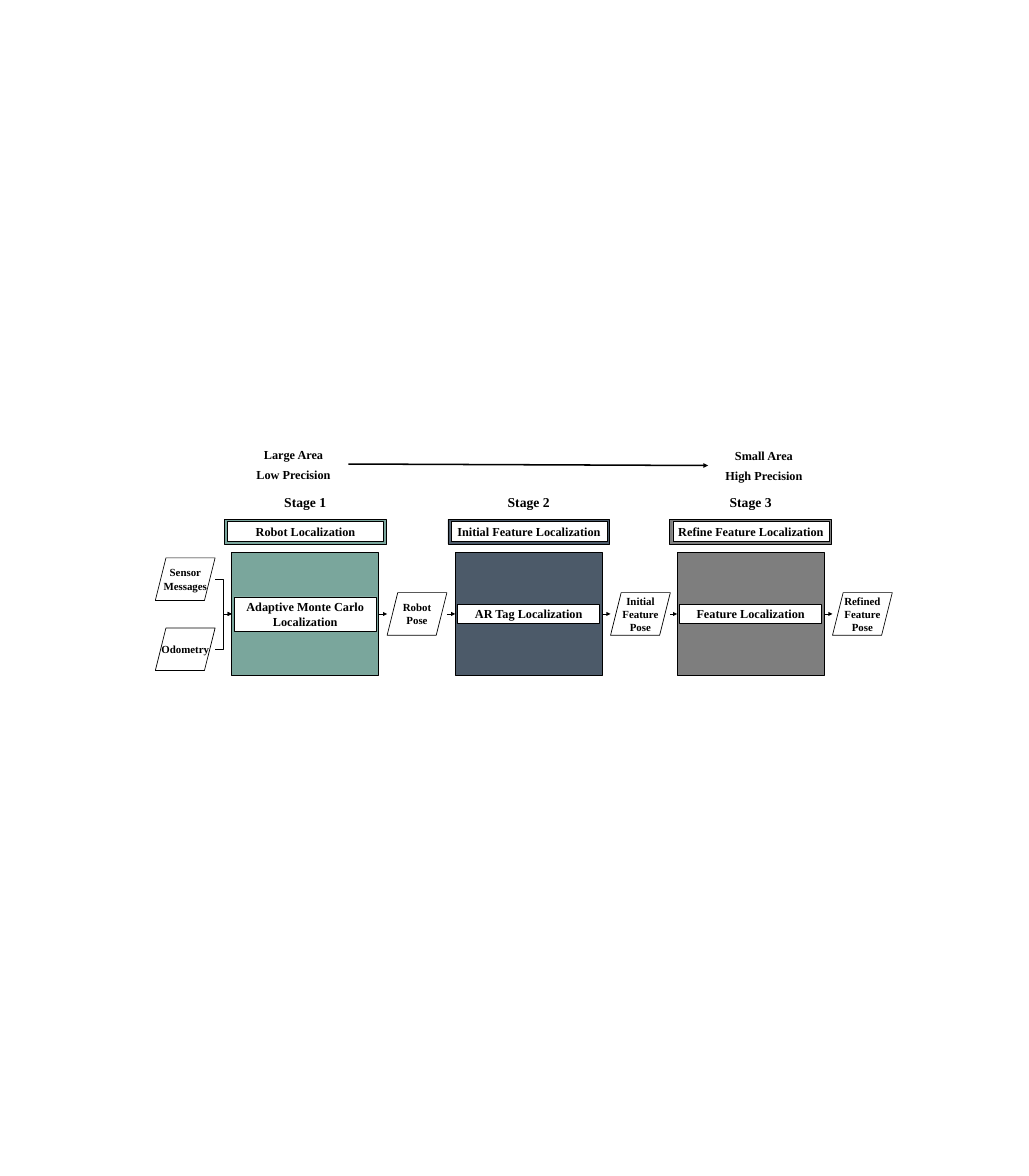
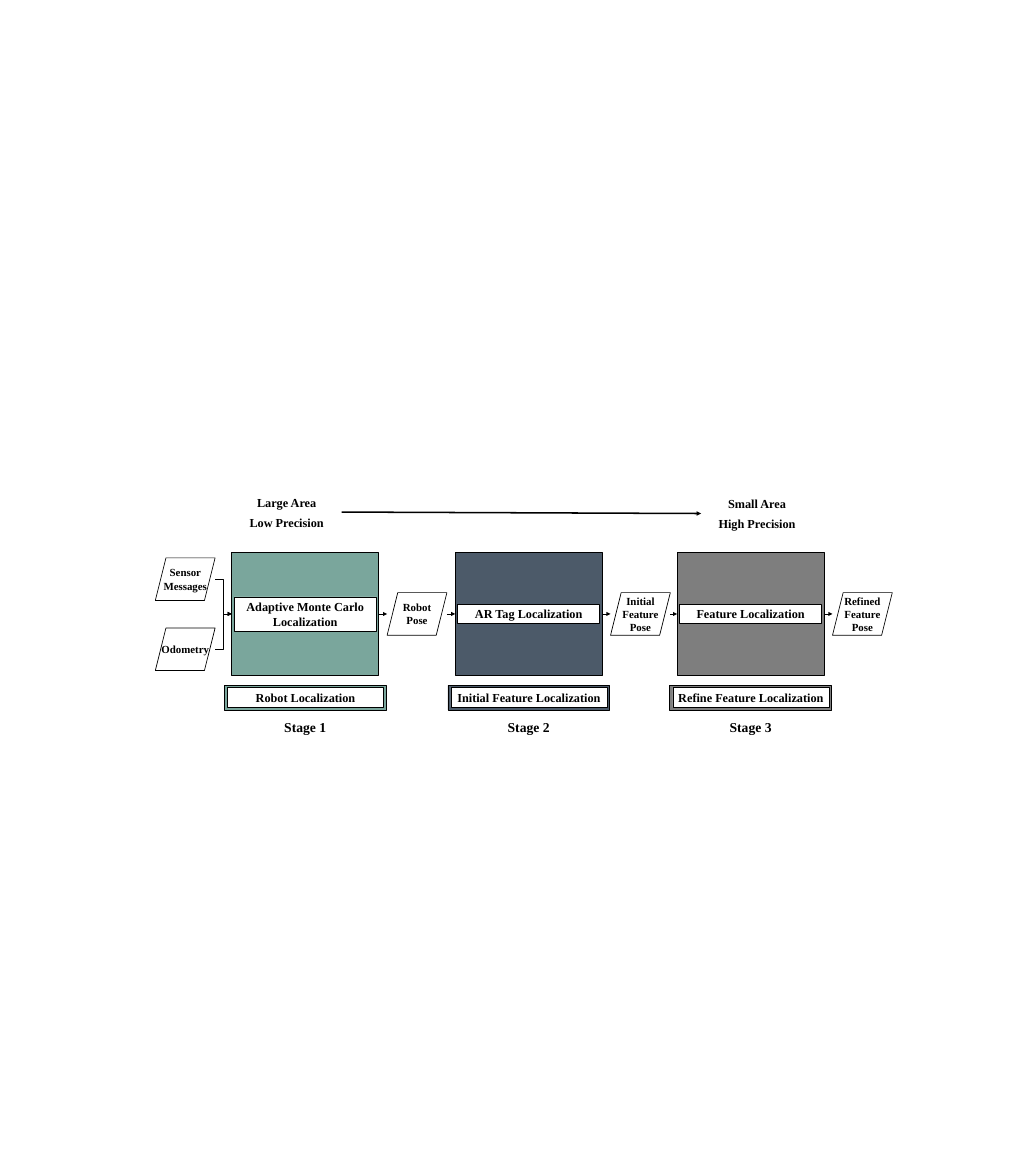
from dataclasses import dataclass
from itertools import pairwise
from typing import Any, Optional

from lxml.etree import SubElement
from pptx import Presentation
from pptx.dml.color import RGBColor
from pptx.enum.shapes import MSO_CONNECTOR, MSO_SHAPE
from pptx.enum.text import MSO_ANCHOR, MSO_AUTO_SIZE, PP_ALIGN
from pptx.oxml.ns import qn
from pptx.util import Inches, Pt


@dataclass(frozen=True)
class Theme:
    black: str = "000000"
    white: str = "FFFFFF"
    green: str = "7AA69C"
    blue: str = "4C5A69"
    gray: str = "7E7E7E"
    face: str = "Times New Roman"
    head: int = 20
    body: int = 18
    small: int = 16
    edge: float = 1
    thin: float = 0.75
    link: float = 0.5
    bold: float = 2.25


@dataclass(frozen=True)
class Area:
    left: float
    top: float
    width: float
    height: float

    def sides(self) -> list[int]:
        return [Inches(v) for v in (self.left, self.top, self.width, self.height)]


@dataclass(frozen=True)
class Stage:
    left: float
    fill: str
    title: str
    step: str
    rows: int
    pose: str
    lines: int


@dataclass(frozen=True)
class Plan:
    """What differs between slides: tops of the stage parts, place of the scale."""
    band: float
    name: float
    left: float
    top: float


THEME = Theme()
STAGES = [
    Stage(4.73, THEME.green, "Robot Localization",
          "Adaptive Monte Carlo Localization", 2, "Robot Pose", 2),
    Stage(9.29, THEME.blue, "Initial Feature Localization",
          "AR Tag Localization", 1, "Initial Feature Pose", 3),
    Stage(13.82, THEME.gray, "Refine Feature Localization",
          "Feature Localization", 1, "Refined Feature Pose", 3),
]
PLANS = [Plan(10.6, 10.03, 4.73, 9.07), Plan(13.99, 14.61, 4.59, 10.05)]

TOP, SIDE, TALL = 11.28, 3.0, 2.5
MID = TOP + TALL / 2
POSE, WIDE, HIGH = 3.17, 1.22, 0.87
INPUTS = [("Sensor Messages", 2, 11.82), ("Odometry", 1, 13.25)]


def write(shape: Any, text: str, size: int) -> None:
    frame = shape.text_frame
    frame.text = text
    look = {"word_wrap": True, "auto_size": MSO_AUTO_SIZE.SHAPE_TO_FIT_TEXT,
            "vertical_anchor": MSO_ANCHOR.MIDDLE}
    for key, val in look.items():
        setattr(frame, key, val)
    para = frame.paragraphs[0]
    para.alignment = PP_ALIGN.CENTER
    font = para.runs[0].font
    for key, val in {"name": THEME.face, "size": Pt(size), "bold": True}.items():
        setattr(font, key, val)
    font.color.rgb = RGBColor.from_string(THEME.black)


def draw(shapes: Any, area: Area, fill: Optional[str], edge: str = THEME.black,
         width: float = THEME.edge, kind: MSO_SHAPE = MSO_SHAPE.RECTANGLE) -> Any:
    shape = shapes.add_shape(kind, *area.sides())
    shape.shadow.inherit = False
    if fill:
        shape.fill.solid()
        shape.fill.fore_color.rgb = RGBColor.from_string(fill)
    else:
        shape.fill.background()
    shape.line.color.rgb = RGBColor.from_string(edge)
    shape.line.width = Pt(width)
    return shape


def label(shapes: Any, area: Area, text: str, size: int = THEME.body,
          edge: str = THEME.black) -> None:
    write(draw(shapes, area, THEME.white, edge, THEME.thin), text, size)


def plain(shapes: Any, area: Area, text: str, size: int = THEME.body) -> None:
    write(shapes.add_textbox(*area.sides()), text, size)


def arrow(shapes: Any, start: tuple[float, float], end: tuple[float, float],
          width: float = THEME.link,
          kind: MSO_CONNECTOR = MSO_CONNECTOR.STRAIGHT) -> None:
    line = shapes.add_connector(kind, *(Inches(v) for v in start + end))
    line.line.color.rgb = RGBColor.from_string(THEME.black)
    line.line.width = Pt(width)
    props = line._element.spPr
    SubElement(props.find(qn("a:ln")), qn("a:tailEnd"), type="triangle")
    SubElement(props, qn("a:effectLst"))


def data(shapes: Any, left: float, mid: float, text: str, lines: int) -> None:
    """Slanted data box, grouped with its text."""
    group = shapes.add_group_shape().shapes
    draw(group, Area(left, mid - HIGH / 2, WIDE, HIGH), None,
         kind=MSO_SHAPE.PARALLELOGRAM)
    high = 0.1 + 0.27 * lines
    plain(group, Area(left, mid - high / 2, WIDE, high), text, THEME.small)


def phase(shapes: Any, item: Stage, plan: Plan) -> None:
    # Panel and its step
    left = item.left
    draw(shapes, Area(left, TOP, SIDE, TALL), item.fill)
    high = 0.1 + 0.3 * item.rows
    label(shapes, Area(left + 0.05, MID - high / 2, 2.9, high), item.step)

    # Banner and stage name
    side = left - 0.15
    draw(shapes, Area(side, plan.band, 3.3, 0.5), item.fill)
    label(shapes, Area(side + 0.06, plan.band + 0.04, 3.19, 0.4), item.title)
    label(shapes, Area(side, plan.name, 3.3, 0.44),
          f"Stage {STAGES.index(item) + 1}", THEME.head, THEME.white)

    # Resulting pose
    data(shapes, left + POSE, MID, item.pose, item.lines)
    arrow(shapes, (left + SIDE, MID), (left + POSE, MID))


def scale(shapes: Any, plan: Plan) -> None:
    ends = [(0, 0, "Large Area", "Low Precision"),
            (9.6, 0.02, "Small Area", "High Precision")]
    for right, down, *words in ends:
        for row, text in enumerate(words):
            top = plan.top + down + 0.42 * row
            plain(shapes, Area(plan.left + right, top, 2.52, 0.4), text)
    arrow(shapes, (plan.left + 2.38, plan.top + 0.4),
          (plan.left + 9.72, plan.top + 0.43), THEME.bold)


def main() -> None:
    deck = Presentation()
    deck.slide_width, deck.slide_height = Inches(21), Inches(24)
    for plan in PLANS:
        shapes = deck.slides.add_slide(deck.slide_layouts[6]).shapes
        for item in STAGES:
            phase(shapes, item, plan)

        # Links from each pose to the next stage
        for last, item in pairwise(STAGES):
            arrow(shapes, (last.left + POSE + WIDE, MID), (item.left, MID))

        # Inputs to the first stage
        for text, lines, mid in INPUTS:
            data(shapes, 3.17, mid, text, lines)
            arrow(shapes, (3.17 + WIDE, mid), (STAGES[0].left, MID),
                  kind=MSO_CONNECTOR.ELBOW)

        # Scale from coarse to fine
        scale(shapes, plan)
    deck.save("out.pptx")


if __name__ == "__main__":
    main()
